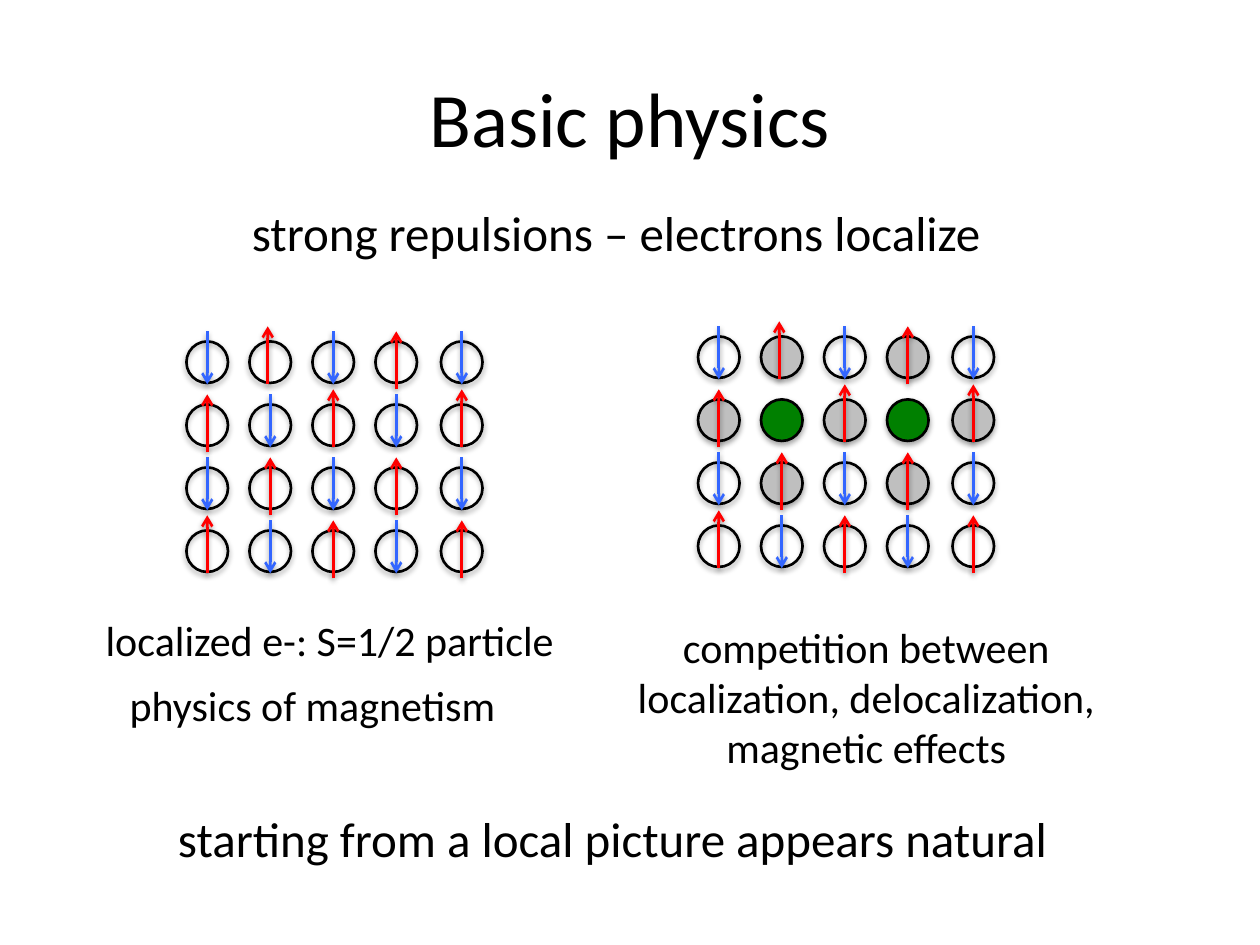
from pptx import Presentation
from pptx.dml.color import RGBColor
from pptx.enum.shapes import MSO_CONNECTOR, MSO_SHAPE
from pptx.enum.text import MSO_ANCHOR, PP_ALIGN
from pptx.oxml import parse_xml
from pptx.oxml.ns import nsdecls
from pptx.util import Inches, Pt

COLORS = {
    "text": "000000",
    "outline": "000000",
    "shadow": "000000",
    "up": "FF0000",
    "down": "3366FF",
    "hole": "008000",
    "neighbor": "BFBFBF",
}

# Lattice geometry in inches
SITE_SIZE = 0.33
COLUMNS = [0, 0.5, 1, 1.5, 2.02]
ROW_STEP = 0.5

# Spin code: colour, x shift, start and tip measured from the top of the site
SPINS = {
    "d": ("down", 0, -0.08, 0.34),
    "u": ("up", 0, 0.38, -0.08),
    "U": ("up", 0, 0.34, -0.12),
    "L": ("up", -0.02, 0.34, -0.12),
}
HOLE = "."
MAGNET = ["dLdud", "udUdU", "dudud", "Ududu"]
DOPED_MAGNET = ["dLdud", "u.U.U", "dudud", "Ududu"]


def color(key):
    return RGBColor.from_string(COLORS[key])


def add_text(slide, box, lines, size, align=PP_ALIGN.CENTER, wrap=False,
             anchor=MSO_ANCHOR.TOP):
    frame = slide.shapes.add_textbox(*map(Inches, box)).text_frame
    frame.word_wrap = wrap
    frame.vertical_anchor = anchor
    frame.text = "\n".join(lines)
    for paragraph in frame.paragraphs:
        paragraph.alignment = align
        paragraph.font.name = "Calibri"
        paragraph.font.size = Pt(size)
        paragraph.font.color.rgb = color("text")


def add_shadow(shape, distance, opacity):
    shape.element.spPr.append(parse_xml(
        f'<a:effectLst {nsdecls("a")}>'
        f'<a:outerShdw blurRad="{Pt(3.1)}" dist="{Pt(distance)}" '
        'dir="5400000" rotWithShape="0">'
        f'<a:srgbClr val="{COLORS["shadow"]}">'
        f'<a:alpha val="{opacity * 1000}"/></a:srgbClr>'
        '</a:outerShdw></a:effectLst>'))


def add_site(group, x, y, fill):
    site = group.shapes.add_shape(MSO_SHAPE.OVAL, Inches(x), Inches(y),
                                  Inches(SITE_SIZE), Inches(SITE_SIZE))
    if fill:
        site.fill.solid()
        site.fill.fore_color.rgb = color(fill)
    else:
        site.fill.background()
    site.line.color.rgb = color("outline")
    site.line.width = Pt(1.5)
    add_shadow(site, 1.8, 35)


def add_spin(group, x, y, code):
    direction, shift, start, tip = SPINS[code]
    center = Inches(x + SITE_SIZE / 2 + shift)
    spin = group.shapes.add_connector(MSO_CONNECTOR.STRAIGHT, center,
                                      Inches(y + start), center, Inches(y + tip))
    spin.line.color.rgb = color(direction)
    spin.line.width = Pt(1.5)
    spin.get_or_add_ln().append(
        parse_xml(f'<a:tailEnd {nsdecls("a")} type="arrow"/>'))
    add_shadow(spin, 1.6, 38)


def site_fill(sites, row, column):
    """Holes are green, their nearest neighbours grey, other sites empty."""
    if sites[row, column] == HOLE:
        return "hole"
    around = [(row - 1, column), (row + 1, column),
              (row, column - 1), (row, column + 1)]
    return "neighbor" if any(sites.get(near) == HOLE for near in around) else None


def add_lattice(slide, left, top, pattern):
    group = slide.shapes.add_group_shape()
    sites = {(row, column): code for row, codes in enumerate(pattern)
             for column, code in enumerate(codes)}
    places = {(row, column): (left + COLUMNS[column], top + row * ROW_STEP)
              for row, column in sites}
    for site, place in places.items():
        add_site(group, *place, site_fill(sites, *site))
    for site, place in places.items():
        if sites[site] != HOLE:
            add_spin(group, *place, sites[site])


def main():
    deck = Presentation()
    deck.slide_width, deck.slide_height = Inches(10), Inches(7.5)
    slide = deck.slides.add_slide(deck.slide_layouts[6])

    # Title and premise
    add_text(slide, (0.5, 0.3, 9, 1.25), ["Basic physics"], 44, wrap=True,
             anchor=MSO_ANCHOR.MIDDLE)
    add_text(slide, (1.85, 1.56, 6.08, 0.57),
             ["strong repulsions – electrons localize"], 28)

    # Doped lattice on the right, pure magnet on the left
    add_lattice(slide, 5.54, 2.67, DOPED_MAGNET)
    add_lattice(slide, 1.48, 2.71, MAGNET)

    # Captions
    add_text(slide, (0.74, 4.83, 3.8, 0.5), ["localized e-: S=1/2 particle"], 24,
             align=PP_ALIGN.LEFT)
    add_text(slide, (0.91, 5.34, 3.14, 0.5), ["physics of magnetism"], 24)
    add_text(slide, (4.93, 4.88, 3.89, 1.31),
             ["competition between", "localization, delocalization,",
              "magnetic effects"], 24)

    # Conclusion
    add_text(slide, (1.25, 6.37, 7.22, 0.57),
             ["starting from a local picture appears natural"], 28)

    deck.save("out.pptx")


if __name__ == "__main__":
    main()
